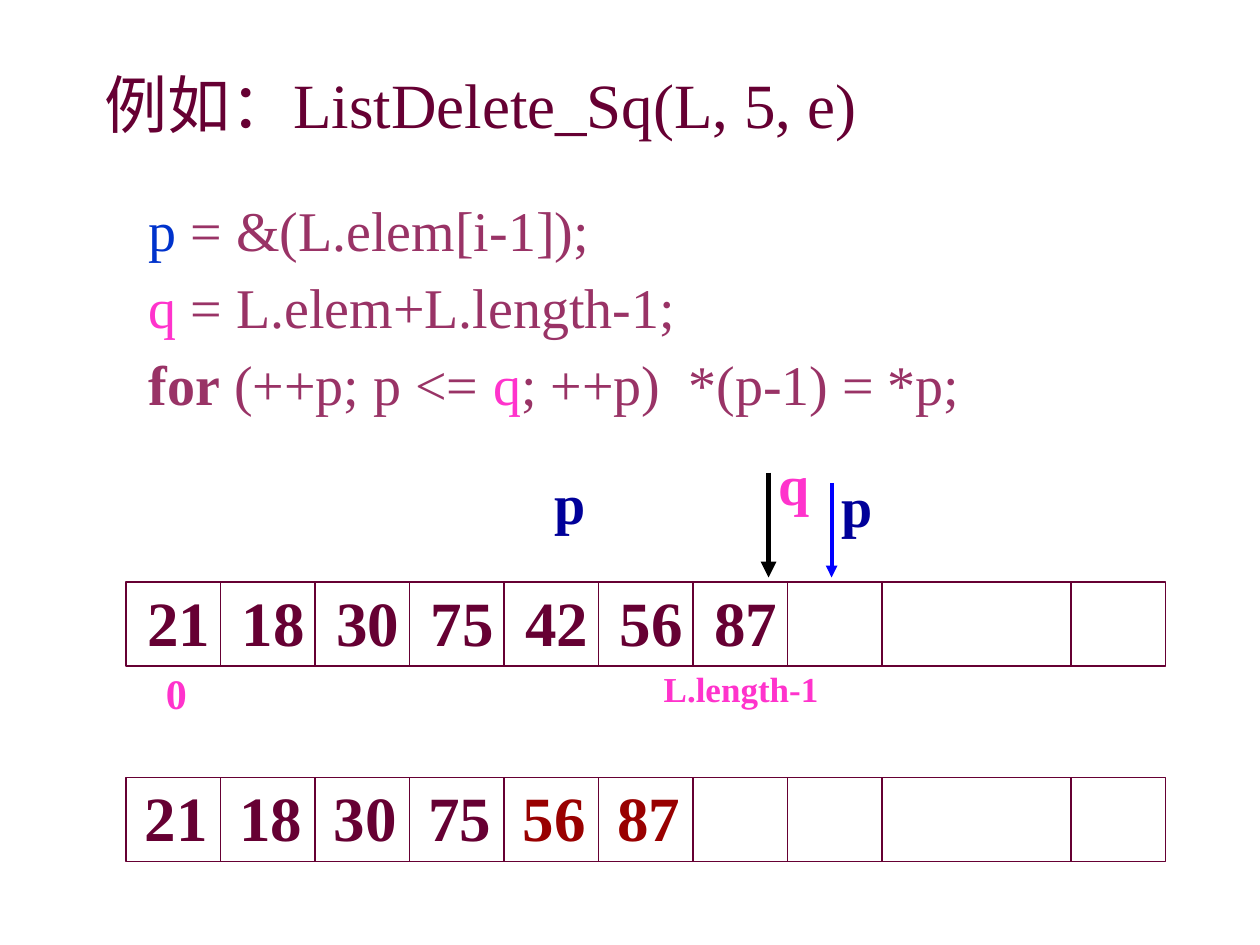
import pptx
import pptx.dml.color
import pptx.enum.shapes
import pptx.enum.text
import pptx.oxml
import pptx.oxml.ns
import pptx.util
from lxml import etree

Pt = pptx.util.Pt
RGBColor = pptx.dml.color.RGBColor

PLUM = RGBColor(0x66, 0x00, 0x33)
MAUVE = RGBColor(0x99, 0x33, 0x66)
PINK = RGBColor(0xFF, 0x33, 0xCC)
CODE_BLUE = RGBColor(0x00, 0x33, 0xCC)
NAVY = RGBColor(0x00, 0x00, 0x99)
BLUE = RGBColor(0x00, 0x00, 0xFF)
BLACK = RGBColor(0x00, 0x00, 0x00)
RED = RGBColor(0x99, 0x00, 0x00)

FONT = "Times New Roman"
CELL_W, CELL_H, CELLS = 54, 48, 11
DIVIDERS = (1, 2, 3, 4, 5, 6, 7, 8, 10)


def add_text(shapes, box, lines, size, spacing=None, tab=None):
    """Each line is a list of (text, colour, bold) runs; tab is the tab pitch."""
    tf = shapes.add_textbox(*map(Pt, box)).text_frame
    tf.word_wrap = False
    tf.auto_size = pptx.enum.text.MSO_AUTO_SIZE.SHAPE_TO_FIT_TEXT
    for i, line in enumerate(lines):
        p = tf.paragraphs[0] if i == 0 else tf.add_paragraph()
        if spacing:
            p.line_spacing = spacing
        if tab:
            tabs = etree.SubElement(p._p.get_or_add_pPr(), pptx.oxml.ns.qn("a:tabLst"))
            for n in range(1, line[0][0].count("\t") + 1):
                etree.SubElement(tabs, pptx.oxml.ns.qn("a:tab"),
                                 pos=str(Pt(n * tab)), algn="l")
        for text, color, bold in line:
            r = p.add_run()
            r.text = text
            r.font.name, r.font.size, r.font.bold = FONT, Pt(size), bold
            r.font.color.rgb = color


def add_line(shapes, x, top, bottom, color, width, arrow=False):
    line = shapes.add_connector(pptx.enum.shapes.MSO_CONNECTOR.STRAIGHT,
                                Pt(x), Pt(top), Pt(x), Pt(bottom))
    line.line.color.rgb = color
    line.line.width = Pt(width)
    if arrow:
        etree.SubElement(line.line._get_or_add_ln(), pptx.oxml.ns.qn("a:tailEnd"),
                         type="triangle")
    etree.SubElement(line._element.spPr, pptx.oxml.ns.qn("a:effectLst"))


def add_array(slide, left, top, text_left, text_top, values):
    """values lists (first cell, numbers, colour) for each stretch of cells."""
    shapes = slide.shapes.add_group_shape().shapes
    sp = shapes.add_shape(pptx.enum.shapes.MSO_SHAPE.RECTANGLE, Pt(left), Pt(top),
                          Pt(CELLS * CELL_W), Pt(CELL_H))
    sp.shadow.inherit = False
    sp.fill.background()
    sp.line.color.rgb = PLUM
    sp.line.width = Pt(0.75)
    for n in DIVIDERS:
        add_line(shapes, left + n * CELL_W, top, top + CELL_H, PLUM, 0.75)
    for first, numbers, color in values:
        box = (text_left + first * CELL_W, text_top, len(numbers) * CELL_W - 3.6, 50.4)
        add_text(shapes, box, [[("\t".join(numbers), color, True)]], 36, tab=CELL_W)


def add_pointer(slide, x, top, bottom, color, width, name, name_top, name_color):
    shapes = slide.shapes.add_group_shape().shapes
    add_line(shapes, x, top, bottom, color, width, arrow=True)
    add_label(shapes, (x - 1.4, name_top, 32.4, 45.4), name, name_color, 32)


def add_label(shapes, box, text, color, size, bold=True):
    add_text(shapes, box, [[(text, color, bold)]], size)


def add_code(slide, box):
    lines = [
        [("p", CODE_BLUE, False), (" = &(L.elem[i-1]);", MAUVE, False)],
        [("q", PINK, False), (" = L.elem+L.length-1;", MAUVE, False)],
        [("for", MAUVE, True), (" (++p; p <= ", MAUVE, False),
         ("q", PINK, False), ("; ++p)  *(p-1) = *p;", MAUVE, False)],
    ]
    add_text(slide.shapes, box, lines, 32, spacing=1.15)


def main():
    prs = pptx.Presentation()
    prs.slide_width, prs.slide_height = Pt(720), Pt(540)
    slide = prs.slides.add_slide(prs.slide_layouts[6])

    add_label(slide.shapes, (52.6, 33.8, 453.6, 50.4),
              "例如：ListDelete_Sq(L, 5, e)", PLUM, 36, bold=False)
    add_code(slide, (77.8, 102.2, 493.2, 139.7))

    before = ["21", "18", "30", "75", "42", "56", "87"]
    add_array(slide, 72, 332.6, 77, 329.8, [(0, before, PLUM)])
    add_array(slide, 72, 444.2, 75.6, 441.4,
              [(0, before[:4], PLUM), (4, ["56"], RED), (5, ["87"], RED)])

    add_label(slide.shapes, (87.8, 378, 26.6, 36), "0", PINK, 24)
    add_label(slide.shapes, (372.2, 378, 103, 31), "L.length-1", PINK, 20)
    add_label(slide.shapes, (309.6, 264.2, 32.4, 45.4), "p", NAVY, 32)
    add_pointer(slide, 439.2, 270, 330, BLACK, 3, "q", 253.4, PINK)
    add_pointer(slide, 475.2, 276, 330, BLUE, 2.25, "p", 265.7, NAVY)

    prs.save("out.pptx")


if __name__ == "__main__":
    main()
